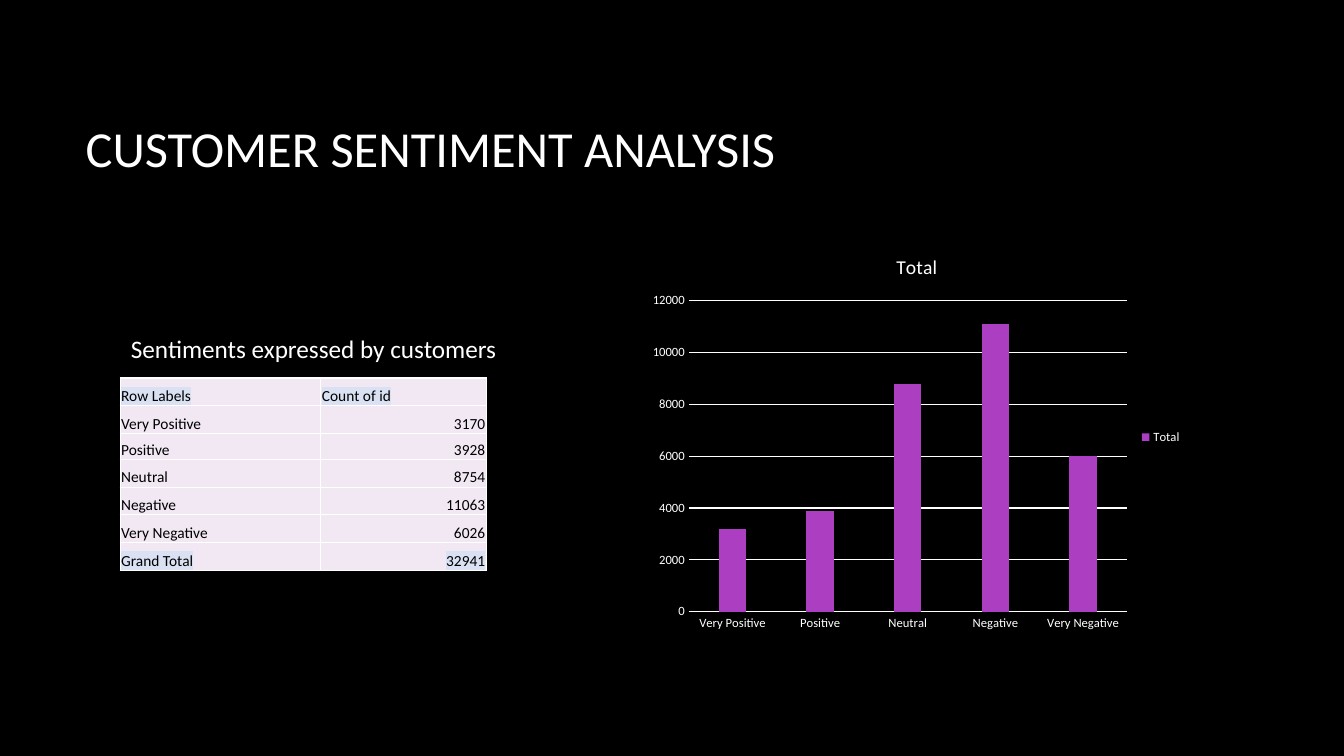
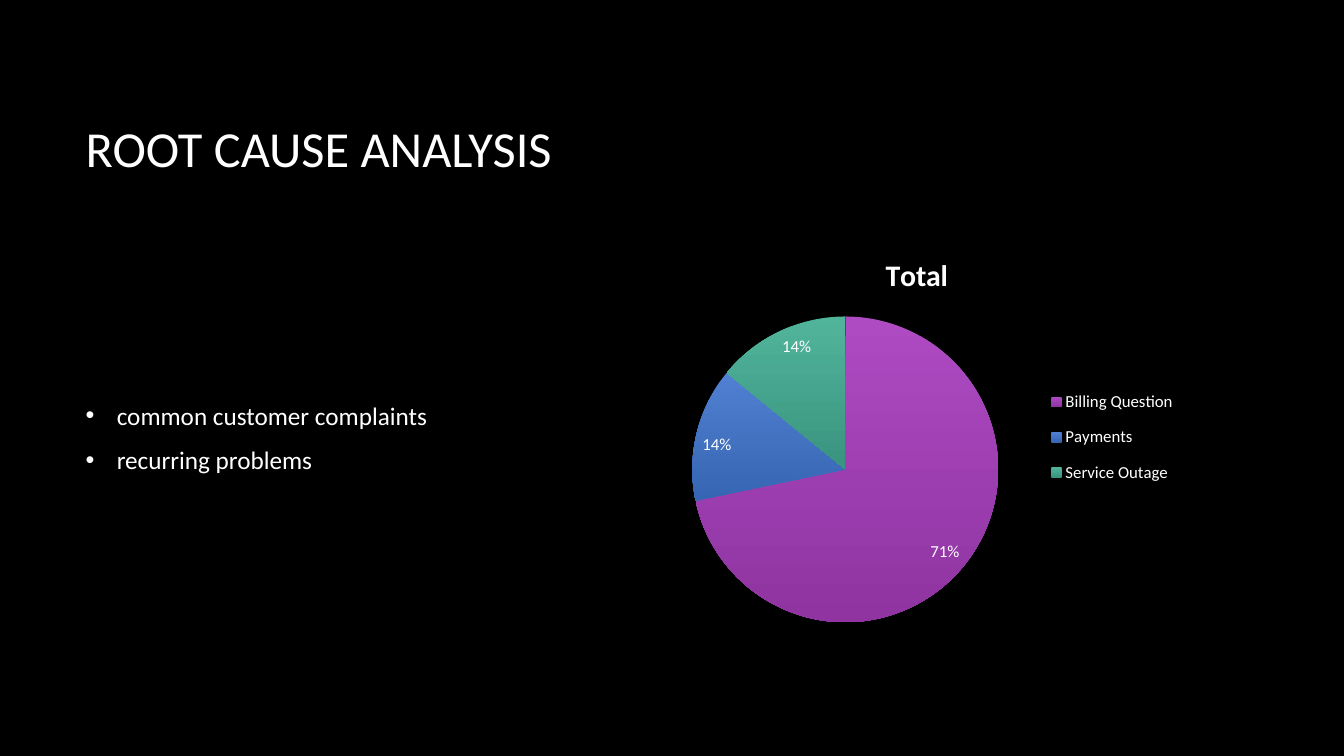
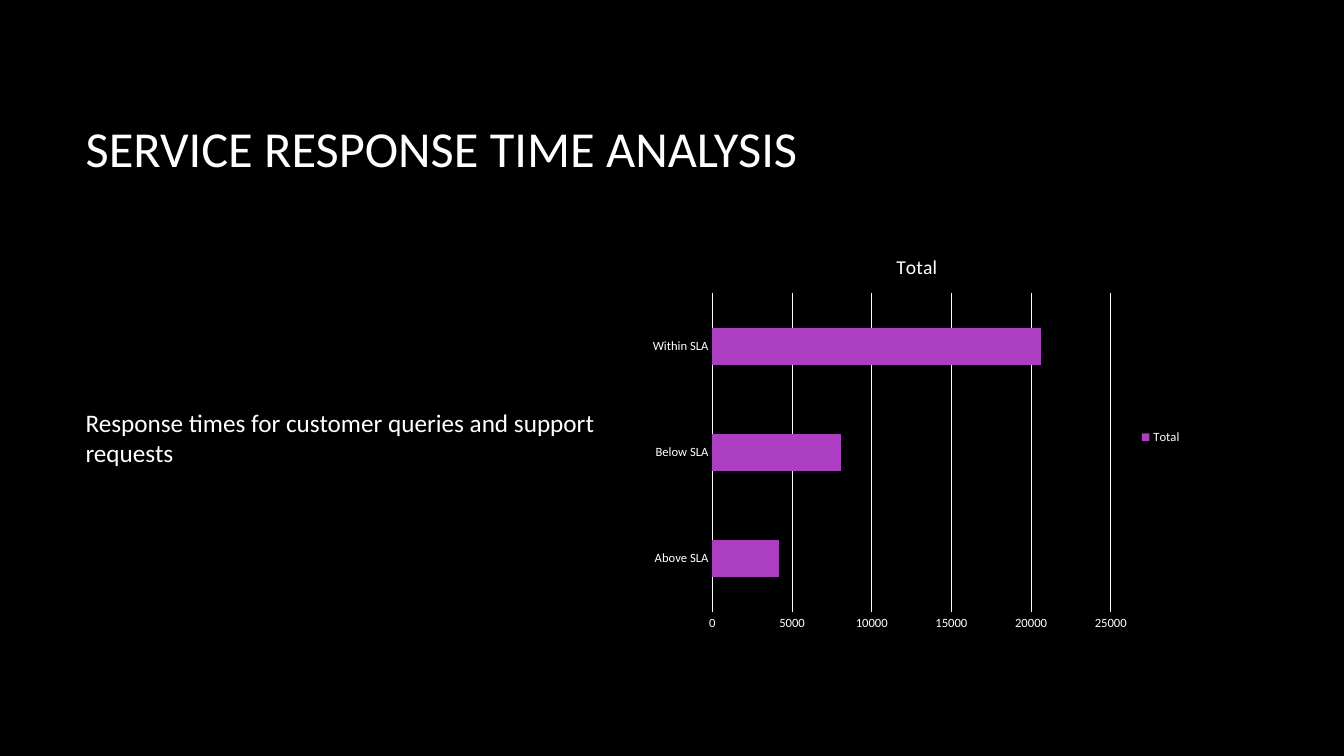
from lxml.etree import SubElement
from pptx import Presentation
from pptx.chart.data import CategoryChartData
from pptx.dml.color import RGBColor
from pptx.enum.chart import XL_CHART_TYPE, XL_LABEL_POSITION, XL_LEGEND_POSITION, XL_TICK_MARK
from pptx.enum.text import MSO_ANCHOR, PP_ALIGN
from pptx.oxml.ns import qn
from pptx.util import Inches, Pt

COLORS = {
    "background": "000000",
    "text": "FFFFFF",
    "bar": "AC3EC1",
    "cell": "F1E8F4",
    "cell_text": "000000",
    "highlight": "D9E1F2",
}
PIE_GRADIENTS = [("AE4AC2", "8F34A1"), ("5180D2", "3665B3"), ("50B49B", "3A947F")]
FONT = "Calibri"

# Grid of 160 columns by 90 rows: left, top, width, height
COLUMNS, ROWS = 160, 90
TITLE_AREA = (9, 8, 133, 19.1)
BODY_AREA = (9, 28.1, 65.5, 47.9)
CHART_AREA = (76.4, 28.1, 65.5, 47.9)
TABLE_AREA = (14.3, 45, 43.6, 22.9)

# Shares of the chart's size: left, top, width, height
PIE_LAYOUT = (0.09, 0.2, 0.56, 0.76)
PIE_LEGEND_LAYOUT = (0.73, 0.35, 0.25, 0.3)


def rgb(hex_color):
    return RGBColor.from_string(hex_color)


def set_font(font, size, color="text", bold=False):
    font.name, font.size, font.bold = FONT, Pt(size), bold
    font.color.rgb = rgb(COLORS[color])


def set_layout(part, position, shares, inner=False):
    """Give a chart part a fixed place within its chart."""
    for automatic in part.findall(qn("c:layout")):
        part.remove(automatic)
    layout = part.makeelement(qn("c:layout"), {})
    manual = SubElement(layout, qn("c:manualLayout"))
    if inner:
        SubElement(manual, qn("c:layoutTarget"), val="inner")
    for mode in ("c:xMode", "c:yMode"):
        SubElement(manual, qn(mode), val="edge")
    for side, share in zip(("c:x", "c:y", "c:w", "c:h"), shares):
        SubElement(manual, qn(side), val=str(share))
    part.insert(position, layout)


class Deck:
    """Holds the shared style and the slide being built."""

    def __init__(self):
        self.prs = Presentation()
        self.prs.slide_width, self.prs.slide_height = Inches(13.33), Inches(7.5)
        background = self.prs.slide_master.background.fill
        background.solid()
        background.fore_color.rgb = rgb(COLORS["background"])
        self.slide = None

    def place(self, area):
        column = self.prs.slide_width / COLUMNS
        row = self.prs.slide_height / ROWS
        return [int(n * unit) for n, unit in zip(area, (column, row) * 2)]

    def add_slide(self, heading):
        self.slide = self.prs.slides.add_slide(self.prs.slide_layouts[5])
        title = self.slide.shapes.title
        title.left, title.top, title.width, title.height = self.place(TITLE_AREA)
        title.text_frame.text = heading
        title.text_frame.vertical_anchor = MSO_ANCHOR.MIDDLE
        paragraph = title.text_frame.paragraphs[0]
        paragraph.alignment = PP_ALIGN.LEFT
        set_font(paragraph.font, 36)

    def add_body(self, lines, indent=0, bullets=False, space_below=0.05):
        frame = self.slide.shapes.add_textbox(*self.place(BODY_AREA)).text_frame
        frame.word_wrap = True
        frame.vertical_anchor = MSO_ANCHOR.MIDDLE
        frame.margin_bottom = Inches(space_below)
        frame.text = "\n".join(lines)
        for paragraph in frame.paragraphs:
            paragraph.space_after = Pt(10)
            set_font(paragraph.font, 18)
            properties = paragraph.font._element.getparent()
            properties.set("marL", str(Inches(indent)))
            if bullets:
                properties.set("indent", str(-Inches(indent)))
                for tag, attributes in (("a:buFont", {"typeface": "Arial"}),
                                        ("a:buChar", {"char": "•"})):
                    bullet = properties.makeelement(qn(tag), attributes)
                    paragraph.font._element.addprevious(bullet)

    def add_table(self, rows, column_widths, row_heights, highlighted):
        area = self.place(TABLE_AREA)
        table = self.slide.shapes.add_table(len(rows), len(rows[0]), *area).table
        table.first_row = table.horz_banding = False
        for column, width in zip(table.columns, column_widths):
            column.width = self.place((width,))[0]
        for r, (values, height) in enumerate(zip(rows, row_heights)):
            table.rows[r].height = self.place((0, height))[1]
            for c, value in enumerate(values):
                self.fill_cell(table.cell(r, c), value, r in highlighted)

    def fill_cell(self, cell, value, highlight):
        cell.margin_left = cell.margin_right = cell.margin_top = Inches(0.01)
        cell.margin_bottom = 0
        cell.vertical_anchor = MSO_ANCHOR.BOTTOM
        cell.fill.solid()
        cell.fill.fore_color.rgb = rgb(COLORS["cell"])
        cell.text = str(value)
        paragraph = cell.text_frame.paragraphs[0]
        paragraph.alignment = PP_ALIGN.RIGHT if isinstance(value, int) else PP_ALIGN.LEFT
        set_font(paragraph.font, 11, "cell_text")
        if highlight:
            marker = SubElement(paragraph.runs[0]._r.get_or_add_rPr(), qn("a:highlight"))
            SubElement(marker, qn("a:srgbClr"), val=COLORS["highlight"])
        # Borders come before the fill in the cell properties
        properties = cell._tc.get_or_add_tcPr()
        for position, side in enumerate(("a:lnL", "a:lnR", "a:lnT", "a:lnB")):
            border = properties.makeelement(qn(side), {"w": str(Pt(1))})
            solid = SubElement(border, qn("a:solidFill"))
            SubElement(solid, qn("a:srgbClr"), val=COLORS["text"])
            properties.insert(position, border)

    def add_chart(self, kind, points, title_size, legend_size, bold_title=False):
        data = CategoryChartData()
        data.categories = [name for name, _ in points]
        data.add_series("Total", [value for _, value in points])
        chart = self.slide.shapes.add_chart(kind, *self.place(CHART_AREA), data).chart
        set_font(chart.font, 10)
        chart.has_title = True
        chart.chart_title.include_in_layout = False
        chart.chart_title.text_frame.text = "Total"
        set_font(chart.chart_title.text_frame.paragraphs[0].font, title_size, bold=bold_title)
        chart.has_legend = True
        chart.legend.position = XL_LEGEND_POSITION.RIGHT
        chart.legend.include_in_layout = False
        set_font(chart.legend.font, legend_size)
        return chart.plots[0], chart

    def add_bars(self, kind, points, gap, overlap=0):
        plot, chart = self.add_chart(kind, points, 14, 9)
        plot.gap_width, plot.overlap = gap, overlap
        plot.vary_by_categories = False
        bars = plot.series[0].format.fill
        bars.solid()
        bars.fore_color.rgb = rgb(COLORS["bar"])
        for axis in (chart.category_axis, chart.value_axis):
            axis.major_tick_mark = axis.minor_tick_mark = XL_TICK_MARK.NONE
            set_font(axis.tick_labels.font, 9)
        chart.value_axis.format.line.fill.background()
        chart.value_axis.has_major_gridlines = True
        for line in (chart.category_axis.format.line,
                     chart.value_axis.major_gridlines.format.line):
            line.color.rgb = rgb(COLORS["text"])
            line.width = Pt(0.75)

    def add_pie(self, points):
        plot, chart = self.add_chart(XL_CHART_TYPE.PIE, points, 21.3, 12, bold_title=True)
        plot.vary_by_categories = True
        for index, gradient in enumerate(PIE_GRADIENTS):
            fill = plot.series[0].points[index].format.fill
            fill.gradient()
            fill.gradient_angle = 270
            for stop, color in zip(fill.gradient_stops, gradient):
                stop.color.rgb = rgb(color)
        # The values are percentages already
        labels = plot.series[0].data_labels
        labels.show_value = True
        labels.number_format, labels.number_format_is_linked = '0"%"', False
        labels.position = XL_LABEL_POSITION.INSIDE_END
        set_font(labels.font, 12)
        # A tall legend spreads its entries
        set_layout(plot._element.getparent(), 0, PIE_LAYOUT, inner=True)
        set_layout(chart.legend._element, 1, PIE_LEGEND_LAYOUT)


def main():
    deck = Deck()

    # Customer sentiment
    sentiments = [("Very Positive", 3170), ("Positive", 3928), ("Neutral", 8754),
                  ("Negative", 11063), ("Very Negative", 6026)]
    rounded = [(name, round(count, -2)) for name, count in sentiments]
    grand_total = sum(count for _, count in sentiments)
    counts = [("Row Labels", "Count of id"), *sentiments, ("Grand Total", grand_total)]
    deck.add_slide("CUSTOMER SENTIMENT ANALYSIS")
    deck.add_body(["Sentiments expressed by customers"], indent=0.45, space_below=1.82)
    deck.add_bars(XL_CHART_TYPE.COLUMN_CLUSTERED, rounded, gap=219, overlap=-27)
    deck.add_table(counts, column_widths=(23.9, 19.7),
                   row_heights=[3.3] * 2 + [3.1] + [3.3] * 4,
                   highlighted=(0, len(counts) - 1))

    # Root causes
    deck.add_slide("ROOT CAUSE ANALYSIS")
    deck.add_body(["common customer complaints", "recurring problems"],
                  indent=0.31, bullets=True)
    deck.add_pie([("Billing Question", 71), ("Payments", 14), ("Service Outage", 14)])

    # Response times
    deck.add_slide("SERVICE RESPONSE TIME ANALYSIS")
    deck.add_body(["Response times for customer queries and support requests"])
    deck.add_bars(XL_CHART_TYPE.BAR_CLUSTERED,
                  [("Above SLA", 4200), ("Below SLA", 8100), ("Within SLA", 20600)], gap=182)

    deck.prs.save("out.pptx")


if __name__ == "__main__":
    main()
